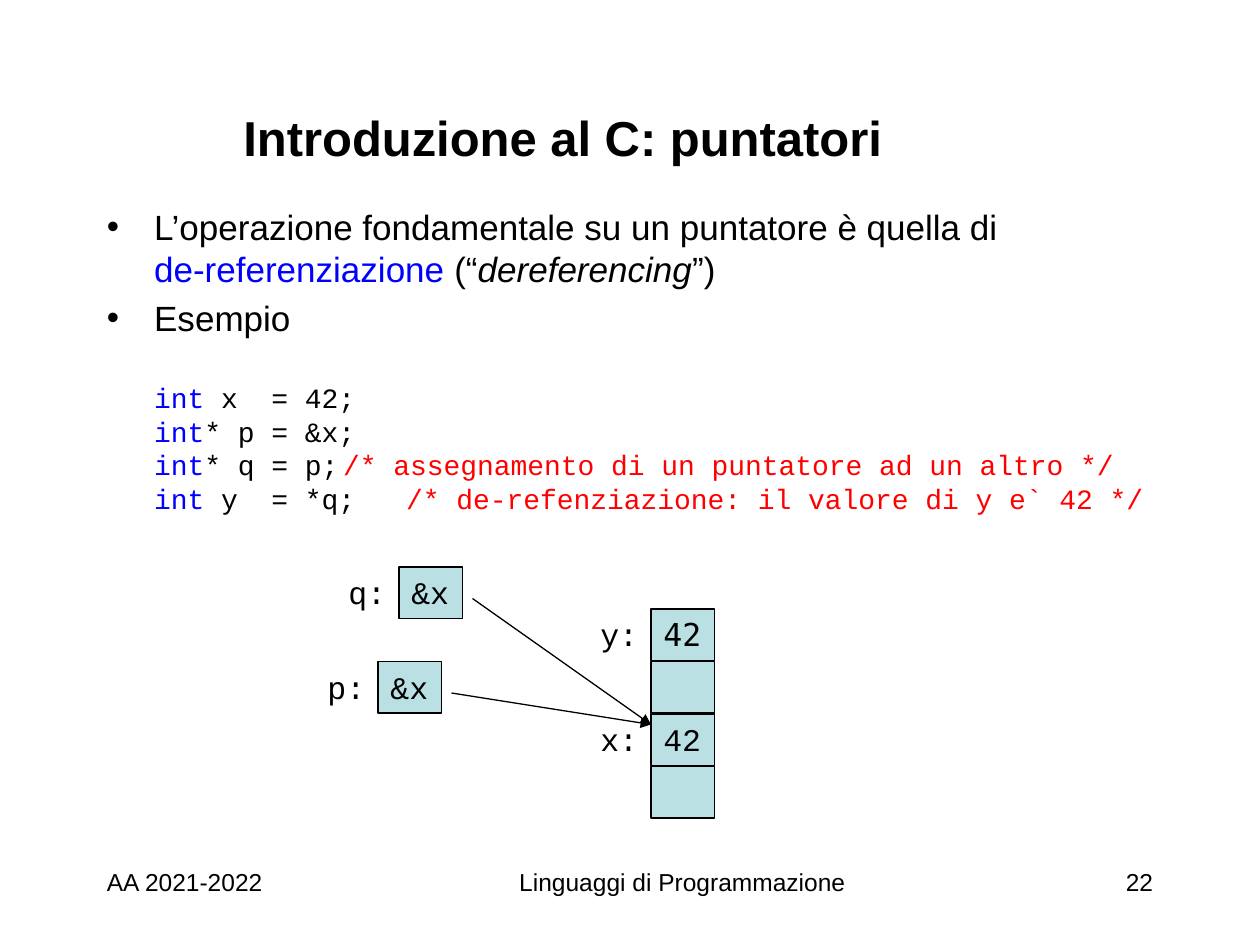
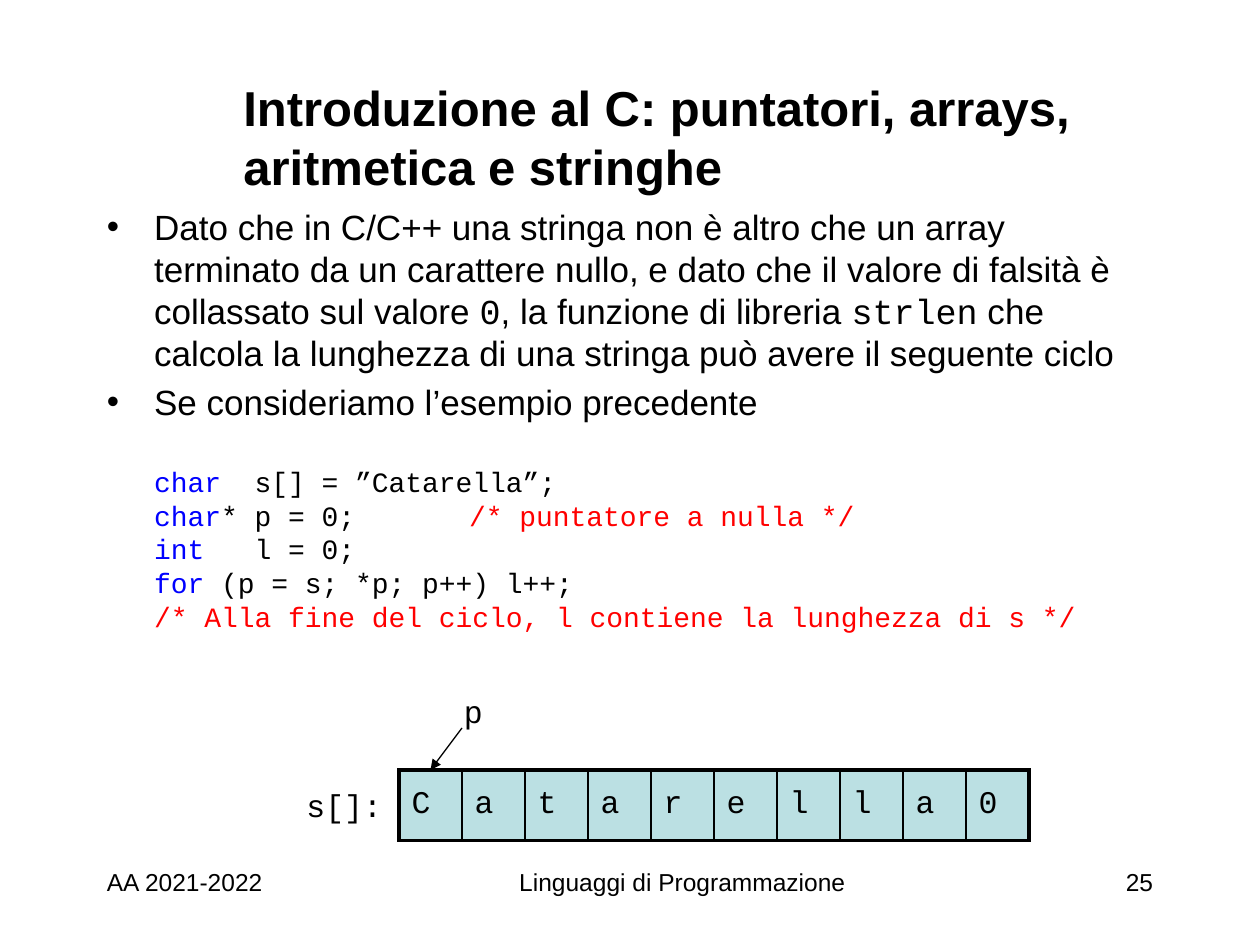
from pptx import Presentation
from pptx.dml.color import RGBColor as Rgb
from pptx.enum.shapes import MSO_CONNECTOR as Con, MSO_SHAPE as Form
from pptx.enum.text import MSO_ANCHOR as Anchor, PP_ALIGN as Align
from pptx.oxml.ns import qn
from pptx.util import Pt
from lxml.etree import Element, SubElement as Sub

HUES = {
    "ink": "000000",
    "key": "0000FF",
    "note": "FF0000",
    "cell": "BBE0E3",
}
SANS, MONO, ALT = "Arial", "Courier New", "DejaVu Sans Mono"
BOX_W, BOX_H = 36.5, 29.5
EDGE, FRAME = 1, 2.25


def tint(name):
    return Rgb.from_string(HUES[name])


def say(text, size=20, font=SANS, hue="ink", bold=False, slant=False):
    def add(para):
        run = para.add_run()
        run.text = text
        face = run.font
        face.size, face.name = Pt(size), font
        face.bold, face.italic = bold, slant
        face.color.rgb = tint(hue)
    return add


def code(text, hue="ink"):
    return say(text, size=16, font=MONO, hue=hue)


def key(text):
    return code(text, "key")


def note(text):
    return code(text, "note")


def mono(text, font=MONO):
    return say(text, size=18, font=font)


def split(para):
    para.add_line_break()


class Deck:
    def __init__(self):
        self.file = Presentation()
        self.file.slide_width, self.file.slide_height = Pt(720), Pt(540)
        self.slide = None

    def page(self, title, num):
        self.slide = self.file.slides.add_slide(self.file.slide_layouts[6])
        foot = (
            ("AA 2021-2022", 54, 180, Align.LEFT),
            ("Linguaggi di Programmazione", 228, 324, Align.CENTER),
            (str(num), 522, 144, Align.RIGHT),
        )
        for text, left, wide, side in foot:
            frame = self.text(left, 492, wide, 36, say(text, size=14))
            frame.paragraphs[0].alignment = side
        head = self.text(132, 48, 534, 60, say(title, size=28, bold=True))
        head.vertical_anchor = Anchor.MIDDLE
        head.paragraphs[0].line_spacing = Pt(33.6)

    def text(self, left, top, wide, high, *runs, wrap=True):
        area = Pt(left), Pt(top), Pt(wide), Pt(high)
        frame = self.slide.shapes.add_textbox(*area).text_frame
        frame.word_wrap = wrap
        for run in runs:
            run(frame.paragraphs[0])
        return frame

    def body(self, points, lines):
        frame = self.text(54, 114, 612, 366)
        for i, runs in enumerate(points + lines):
            para = frame.paragraphs[0] if i == 0 else frame.add_paragraph()
            for run in runs:
                run(para)
            point = i < len(points)
            para.line_spacing = Pt(24 if point else 19.2)
            gap = 4 if point else 24 if i == len(points) else 0
            para.space_before = Pt(gap)
            props = para._p.get_or_add_pPr()
            props.set("marL", str(Pt(27)))
            props.set("indent", str(Pt(-27 if point else 0)))
            if point:
                Sub(props, qn("a:buFont"), typeface=SANS)
                Sub(props, qn("a:buChar"), char="•")

    def label(self, left, top, text, wide=36.5):
        self.text(left, top, wide, 28.8, mono(text), wrap=False)

    def box(self, left, top, text="", font=MONO):
        area = Pt(left), Pt(top), Pt(BOX_W), Pt(BOX_H)
        box = self.slide.shapes.add_shape(Form.RECTANGLE, *area)
        box.shadow.inherit = False
        box.fill.solid()
        box.fill.fore_color.rgb = tint("cell")
        box.line.color.rgb = tint("ink")
        box.line.width = Pt(0.75)
        frame = box.text_frame
        frame.word_wrap = False
        frame.vertical_anchor = Anchor.TOP
        frame.paragraphs[0].alignment = Align.LEFT
        if text:
            mono(text, font)(frame.paragraphs[0])

    def arrow(self, *ends):
        line = self.slide.shapes.add_connector(Con.STRAIGHT, *map(Pt, ends))
        line.line.color.rgb = tint("ink")
        line.line.width = Pt(0.75)
        props = line.element.spPr
        Sub(props.find(qn("a:ln")), qn("a:tailEnd"), type="triangle")
        Sub(props, qn("a:effectLst"))

    def array(self, left, top, step, high, text):
        size = len(text)
        area = Pt(left), Pt(top), Pt(step * size), Pt(high)
        grid = self.slide.shapes.add_table(1, size, *area).table
        grid.first_row = grid.horz_banding = False
        for i, char in enumerate(text):
            grid.columns[i].width = Pt(step)
            cell = grid.cell(0, i)
            cell.vertical_anchor = Anchor.MIDDLE
            mono(char)(cell.text_frame.paragraphs[0])
            cell.fill.solid()
            cell.fill.fore_color.rgb = tint("cell")
            sides = {
                "lnL": FRAME if i == 0 else EDGE,
                "lnR": FRAME if i == size - 1 else EDGE,
                "lnT": FRAME,
                "lnB": FRAME,
            }
            props = cell._tc.get_or_add_tcPr()
            for spot, (side, wide) in enumerate(sides.items()):
                line = Element(qn("a:" + side), w=str(Pt(wide)))
                fill = Sub(line, qn("a:solidFill"))
                Sub(fill, qn("a:srgbClr"), val=HUES["ink"])
                props.insert(spot, line)


def refs(deck):
    deck.page("Introduzione al C: puntatori", 22)
    deck.body([
        [say("L’operazione fondamentale su un puntatore è quella di"), split,
         say("de-referenziazione", hue="key"), say(" (“"),
         say("dereferencing", slant=True), say("”)")],
        [say("Esempio")],
    ], [
        [key("int"), code(" x  = 42;")],
        [key("int"), code("* p = &x;")],
        [key("int"), code("* q = p;\t"),
         note("/* assegnamento di un puntatore ad un altro */")],
        [key("int"), code(" y  = *q;\t"),
         note("/* de-refenziazione: il valore di y e` 42 */")],
    ])
    for name, left, top in (("q:", 192, 324), ("p:", 180, 378)):
        deck.label(left, top, name)
        deck.box(left + 36, top, "&x")
    for name, top in (("y:", 348), ("x:", 408)):
        deck.label(336, top, name)
    cells = (("42", ALT), ("", MONO), ("42", MONO), ("", MONO))
    for i, (text, font) in enumerate(cells):
        deck.box(372, 348 + 30 * i, text, font)
    for left, top in ((258, 396), (270, 342)):
        deck.arrow(left, top, 372, 414)


def chars(deck):
    deck.page("Introduzione al C: puntatori, arrays, aritmetica e stringhe", 25)
    deck.body([
        [say("Dato che in C/C++ una stringa non è altro che un array "
             "terminato da un carattere nullo, e dato che il valore di "
             "falsità è collassato sul valore "),
         say("0", font=MONO), say(", la funzione di libreria "),
         say("strlen", font=MONO),
         say(" che calcola la lunghezza di una stringa può avere "
             "il seguente ciclo")],
        [say("Se consideriamo l’esempio precedente")],
    ], [
        [key("char  "), code("s[] = ”Catarella”;")],
        [key("char"), code("* p = 0;\t\t"), note("/* puntatore a nulla */")],
        [key("int"), code("   l = 0;")],
        [key("for"), code(" (p = s; *p; p++) l++;")],
        [note("/* Alla fine del ciclo, l contiene la lunghezza di s */")],
    ])
    deck.label(258, 391.7, "p", wide=25.2)
    deck.label(168, 445.7, "s[]:", wide=58.3)
    deck.arrow(264, 416, 246, 440)
    deck.array(228, 440, 36, 40.3, "Catarella0")


deck = Deck()
refs(deck)
chars(deck)
deck.file.save("out.pptx")
